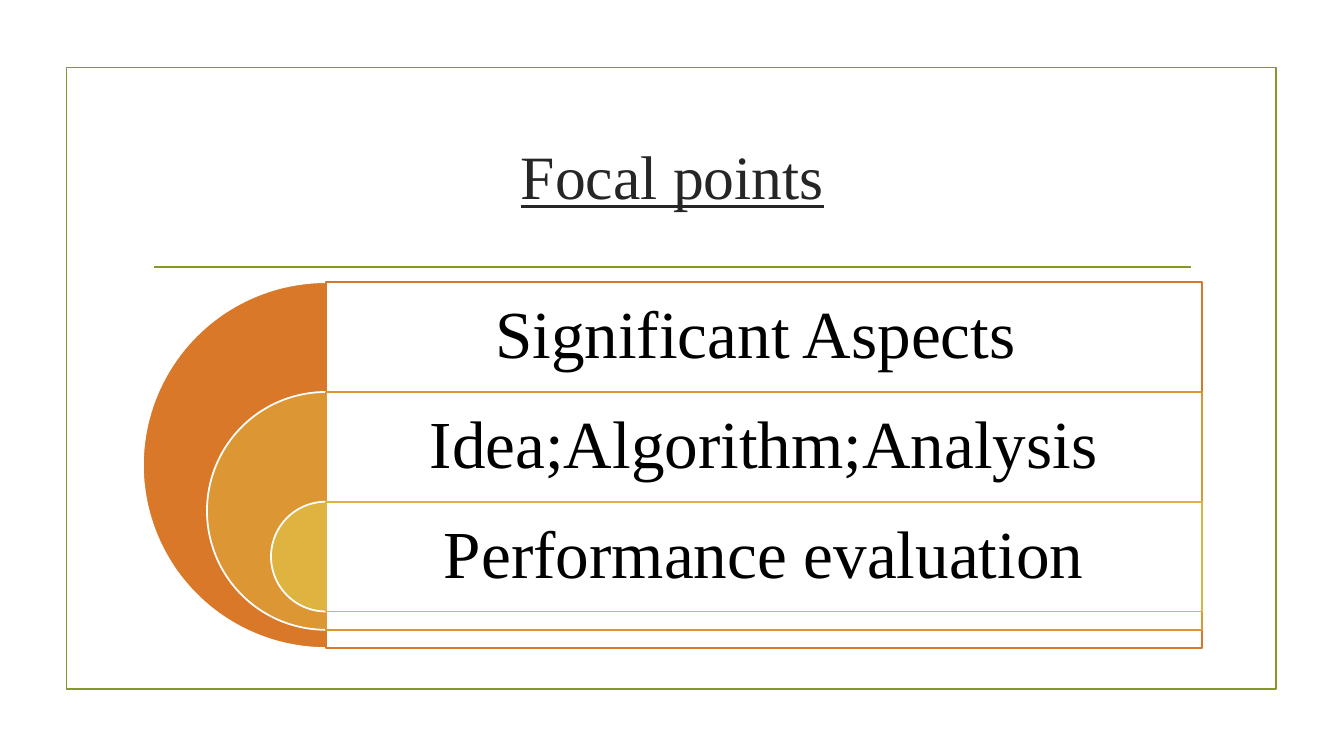
from dataclasses import dataclass

from lxml.etree import SubElement
from pptx import Presentation
from pptx.dml.color import RGBColor
from pptx.enum.shapes import MSO_CONNECTOR, MSO_SHAPE as Preset
from pptx.enum.text import MSO_ANCHOR as Anchor, PP_ALIGN as Align
from pptx.oxml.ns import qn
from pptx.util import Inches, Pt

WIDTH, HEIGHT = Inches(13.33), Inches(7.5)
COLUMN, ROW = WIDTH / 100, HEIGHT / 100
FONT = "Times New Roman"
GREEN, WHITE, BLACK, CHARCOAL = "83992A", "FFFFFF", "000000", "262626"
LINE_WIDTH = Pt(1.25)

AXIS, PANEL_COLUMNS = 24.25, 65.19
STACK_TOP, STACK_ROWS = 37.33, 48.4
BAND_ROWS = 0.3 * STACK_ROWS


@dataclass(frozen=True)
class Area:
    column: float
    row: float
    columns: float
    rows: float

    def emu(self) -> tuple[int, int, int, int]:
        return (int(self.column * COLUMN), int(self.row * ROW),
                int(self.columns * COLUMN), int(self.rows * ROW))


@dataclass(frozen=True)
class Layer:
    topic: str
    color: str
    diameter_share: float


LAYERS = (
    Layer("Significant Aspects ", "D97828", 1),
    Layer("Idea;Algorithm;Analysis", "DC9734", 0.65),
    Layer("Performance evaluation", "DEB340", 0.3),
)


def rgb(color: str) -> RGBColor:
    return RGBColor.from_string(color)


def add_outlined(slide, preset: Preset, area: Area, line: str, fill: str | None = None):
    shape = slide.shapes.add_shape(preset, *area.emu())
    shape.shadow.inherit = False
    shape.line.color.rgb = rgb(line)
    shape.line.width = LINE_WIDTH
    if fill is None:
        shape.fill.background()
    else:
        shape.fill.solid()
        shape.fill.fore_color.rgb = rgb(fill)
    return shape


def add_label(slide, area: Area, text: str, size: int, color: str, inset: float):
    frame = slide.shapes.add_textbox(*area.emu()).text_frame
    frame.word_wrap = True
    frame.vertical_anchor = Anchor.MIDDLE
    frame.margin_left = frame.margin_right = Inches(inset)
    frame.margin_top = frame.margin_bottom = Inches(inset)
    paragraph = frame.paragraphs[0]
    paragraph.text = text
    paragraph.alignment = Align.CENTER
    paragraph.line_spacing = 0.9
    paragraph.font.name = FONT
    paragraph.font.size = Pt(size)
    paragraph.font.color.rgb = rgb(color)
    return paragraph


def add_rule(slide, start: float, end: float, row: float) -> None:
    y = int(row * ROW)
    rule = slide.shapes.add_connector(
        MSO_CONNECTOR.STRAIGHT, int(start * COLUMN), y, int(end * COLUMN), y)
    rule.line.color.rgb = rgb(GREEN)
    rule.line.width = LINE_WIDTH
    SubElement(rule.element.spPr, qn("a:effectLst"))


def add_layer(slide, layer: Layer, index: int) -> None:
    top = STACK_TOP + index * BAND_ROWS
    rows = layer.diameter_share * STACK_ROWS
    columns = rows * ROW / COLUMN

    half_disc = add_outlined(
        slide, Preset.PIE, Area(AXIS - columns / 2, top, columns, rows), WHITE, layer.color)
    half_disc.adjustments[0] = 54
    half_disc.adjustments[1] = 162

    panel = add_outlined(
        slide, Preset.RECTANGLE, Area(AXIS, top, PANEL_COLUMNS, rows), layer.color, WHITE)
    panel_color = panel.element.spPr.find(qn("a:solidFill")).find(qn("a:srgbClr"))
    SubElement(panel_color, qn("a:alpha"), val="90000")

    add_label(slide, Area(AXIS, top, PANEL_COLUMNS, BAND_ROWS), layer.topic, 48, BLACK, 0.2)


def main() -> None:
    deck = Presentation()
    deck.slide_width, deck.slide_height = WIDTH, HEIGHT
    slide = deck.slides.add_slide(deck.slide_layouts[6])

    add_outlined(slide, Preset.RECTANGLE, Area(4.95, 8.93, 90, 82.27), GREEN)
    add_rule(slide, 11.48, 88.6, 35.33)
    title = add_label(slide, Area(10.65, 14.27, 78.77, 19.07), "Focal points", 44, CHARCOAL, 0.05)
    title.font.underline = True
    for index, layer in enumerate(LAYERS):
        add_layer(slide, layer, index)

    deck.save("out.pptx")


if __name__ == "__main__":
    main()
